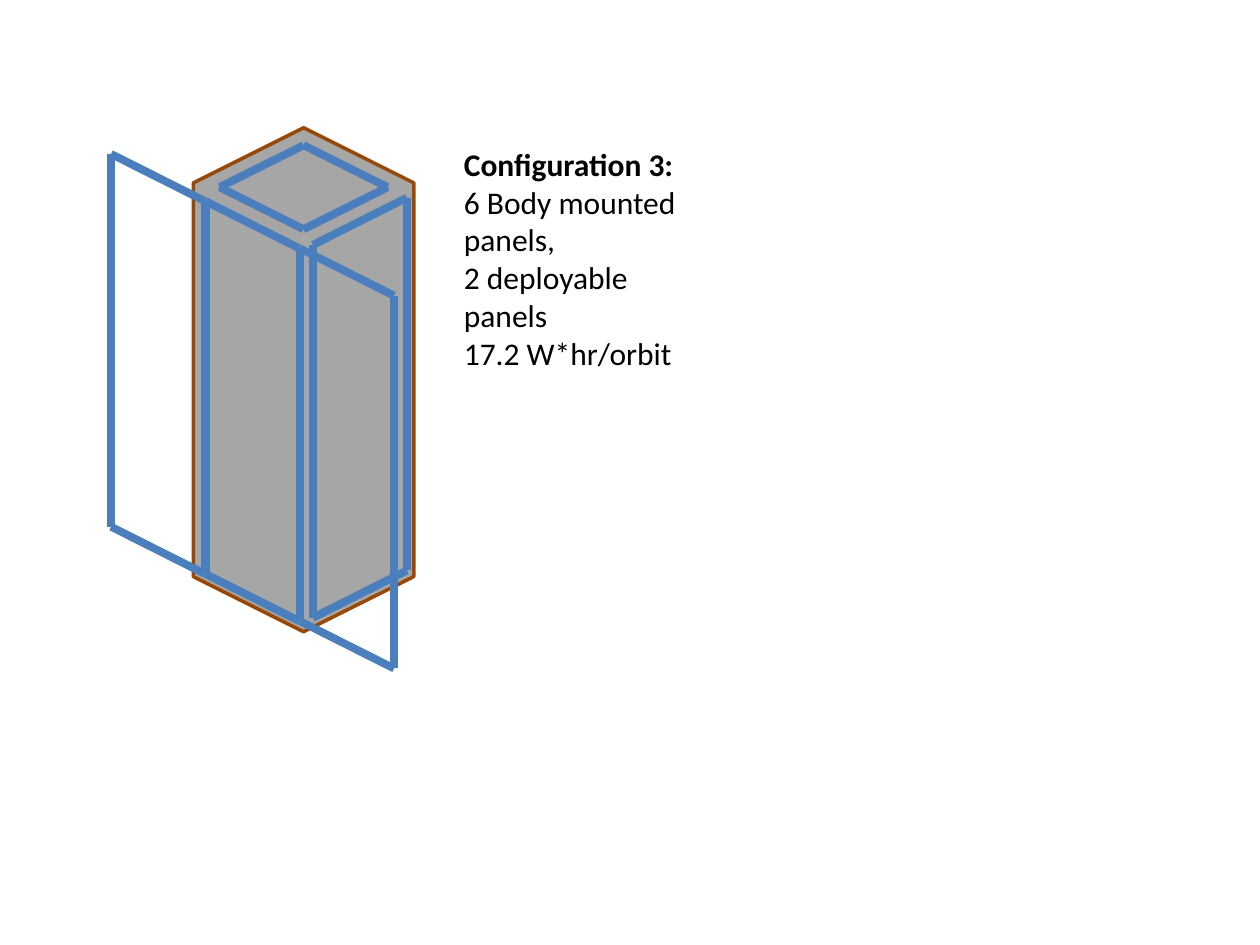
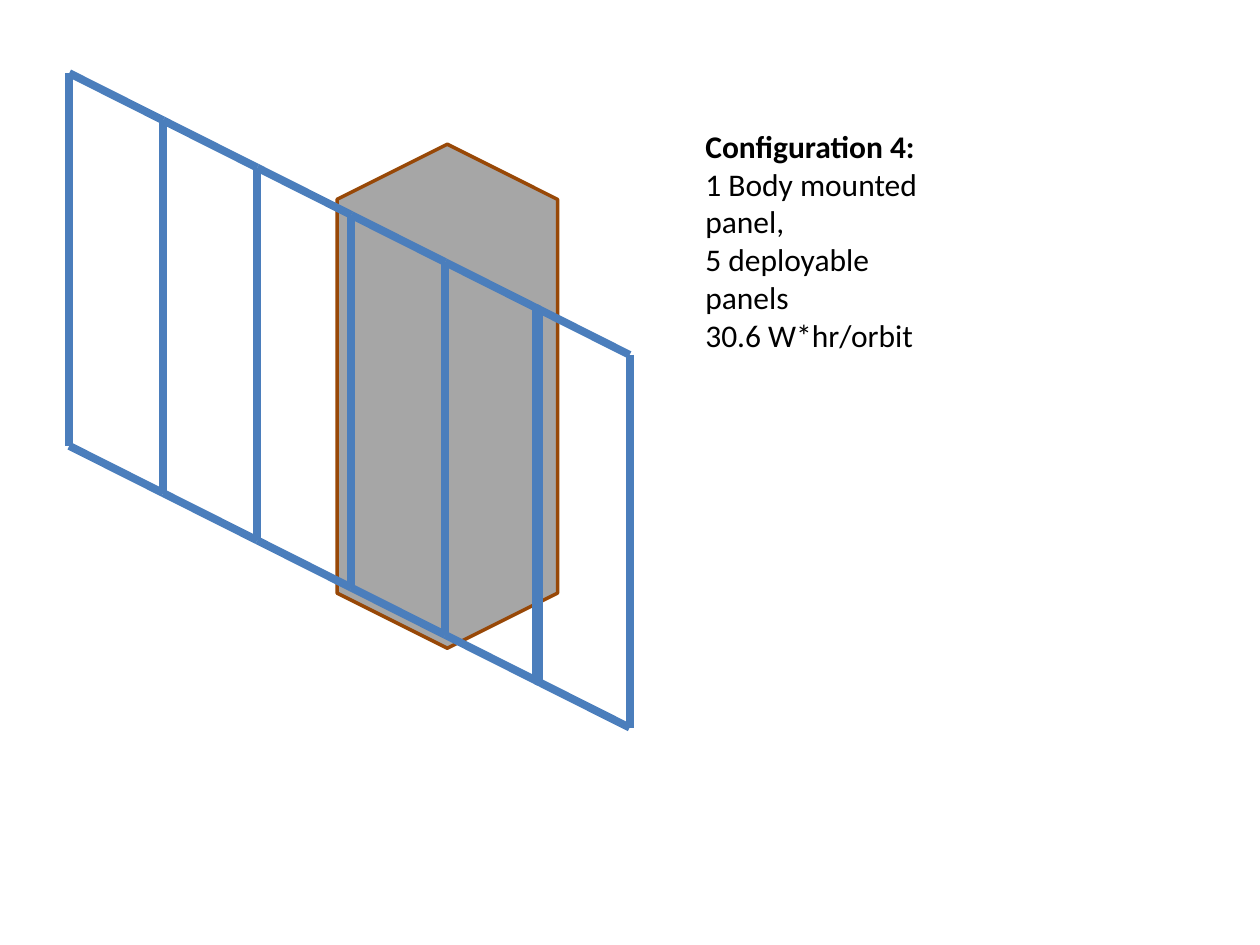
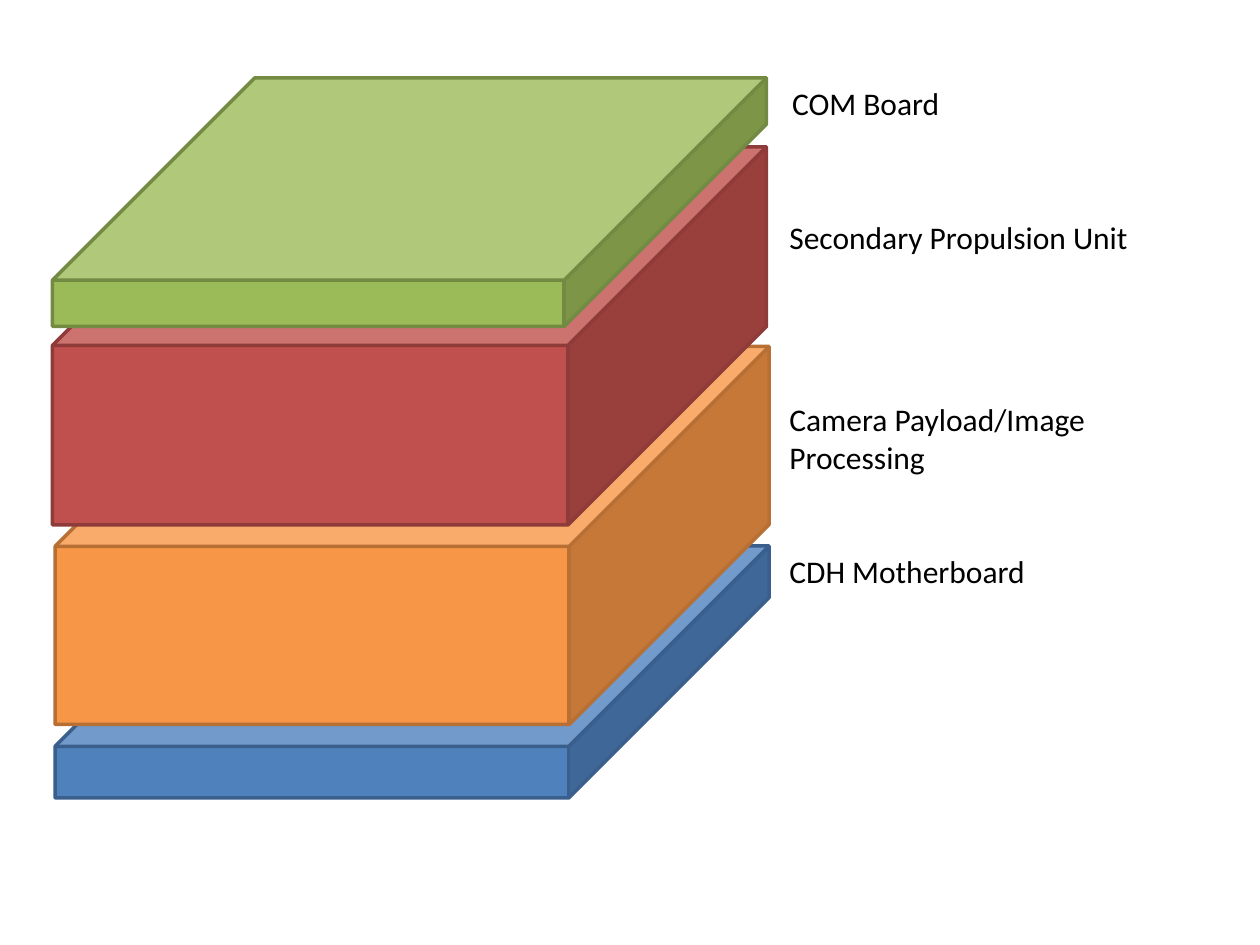
import pptx
import pptx.dml.color
import pptx.enum.shapes
import pptx.enum.text
import pptx.oxml.ns
import pptx.util
from dataclasses import dataclass
from lxml import etree

Pt = pptx.util.Pt
Shape = pptx.enum.shapes.MSO_SHAPE


@dataclass(frozen=True)
class Theme:
    font: str = "Calibri"
    size: float = 18
    ink: str = "000000"
    body: str = "A6A6A6"
    rim: str = "984807"
    panel: str = "4B7EBC"
    bar: float = 4.5
    edge: float = 2
    blue: tuple = ("4F81BD", "3A5F8C")
    orange: tuple = ("F79646", "B76F34")
    red: tuple = ("C0504D", "8E3B39")
    green: tuple = ("9BBB59", "738A42")


T = Theme()
BODY = (126, 288)        # upright satellite body, width and height
PANEL = (53.7, 27, 213)  # panel run, slope drop and height


def tint(text):
    return pptx.dml.color.RGBColor.from_string(text)


def write(slide, text, box, bold_first=False, size=T.size, color=T.ink):
    """Place a wrapped text box with one paragraph for each line."""
    frame = slide.shapes.add_textbox(*map(Pt, box)).text_frame
    frame.word_wrap = True
    frame.auto_size = pptx.enum.text.MSO_AUTO_SIZE.SHAPE_TO_FIT_TEXT
    for i, line in enumerate(text.split("\n")):
        para = frame.paragraphs[0] if i == 0 else frame.add_paragraph()
        run = para.add_run()
        run.text = line
        run.font.name = T.font
        run.font.size = Pt(size)
        run.font.bold = bold_first and i == 0
        run.font.color.rgb = tint(color)


def solid(shapes, kind, box, fill, rim):
    """Add a filled, outlined preset shape without shadow."""
    shape = shapes.add_shape(kind, *map(Pt, box))
    shape.shadow.inherit = False
    shape.fill.solid()
    shape.fill.fore_color.rgb = tint(fill)
    shape.line.color.rgb = tint(rim)
    shape.line.width = Pt(T.edge)
    return shape


def stroke(shapes, start, end):
    """Add one thick panel edge."""
    kind = pptx.enum.shapes.MSO_CONNECTOR.STRAIGHT
    line = shapes.add_connector(kind, *map(Pt, (*start, *end)))
    line.line.color.rgb = tint(T.panel)
    line.line.width = Pt(T.bar)
    etree.SubElement(line._element.spPr, pptx.oxml.ns.qn("a:effectLst"))


def loop(shapes, points):
    """Join points into a closed outline of strokes."""
    for start, end in zip(points, points[1:] + points[:1]):
        stroke(shapes, start, end)


def panel(shapes, x, y, side=1):
    """Draw a slanted panel falling to the right, or left if side is -1."""
    run, drop, high = PANEL
    far = x + side * run
    loop(shapes, [(x, y), (far, y + drop),
                  (far, y + drop + high), (x, y + high)])


def body(slide, x, y):
    """Start a group with the upright hexagonal body at x, y."""
    shapes = slide.shapes.add_group_shape().shapes
    wide, high = BODY
    shift = (high - wide) / 2
    hexagon = solid(shapes, Shape.HEXAGON,
                    (x - shift, y + shift, high, wide), T.body, T.rim)
    hexagon.rotation = 270
    return shapes


def mounted(slide, x, y):
    """Body with panels on its faces and one deployed on each side."""
    shapes = body(slide, x, y)
    for i in range(3):
        panel(shapes, x - 47 + 54 * i, y + 15 + PANEL[1] * i)
    panel(shapes, x + 122, y + 40, side=-1)
    # Top face
    mid, level = x + BODY[0] / 2, y + 34
    loop(shapes, [(mid - 48, level), (mid, level - 24),
                  (mid + 48, level), (mid, level + 24)])


def strip(slide, x, y):
    """Body behind a row of six unfolded panels."""
    shapes = body(slide, x, y)
    left, top = x - 153, y - 40.6
    for i in range(5):
        panel(shapes, left + PANEL[0] * i, top + PANEL[1] * i)
    # The last panel tucks slightly under its neighbour
    panel(shapes, left + PANEL[0] * 5 - 2, top + PANEL[1] * 5 - 1)


def stack(slide, layers):
    """Draw cubes from the bottom layer up, then their labels."""
    for box, fold, pair, *_ in layers:
        cube = solid(slide.shapes, Shape.CUBE, box, *pair)
        cube.adjustments[0] = fold
    for *_, text, spot in layers:
        write(slide, text, spot)


deck = pptx.Presentation()
deck.slide_width, deck.slide_height = Pt(720), Pt(540)


def page():
    return deck.slides.add_slide(deck.slide_layouts[6])


# Configuration 3
slide = page()
mounted(slide, 110.5, 73)
write(slide, "Configuration 3:\n6 Body mounted panels,\n"
      "2 deployable panels\n17.2 W*hr/orbit",
      (258, 79.2, 138, 138), bold_first=True)

# Configuration 4
slide = page()
strip(slide, 192.6, 82.4)
write(slide, "Configuration 4:\n1 Body mounted panel,\n"
      "5 deployable panels\n30.6 W*hr/orbit",
      (396, 69, 138, 138), bold_first=True)

# Component stack: cube box, fold, colours, label, label box
stack(page(), [
    ((31.5, 312, 408, 144), 0.795, T.blue,
     "CDH Motherboard", (444, 312, 240, 29)),
    ((31.5, 198, 408, 216), 0.529, T.orange,
     "Camera Payload/Image Processing", (444, 225, 240, 51)),
    ((30, 84, 408, 216), 0.525, T.red,
     "Secondary Propulsion Unit", (444, 121, 240, 29)),
    ((30, 44.5, 408, 142), 0.814, T.green,
     "COM Board", (445.5, 44.5, 240, 29)),
])

deck.save("out.pptx")
